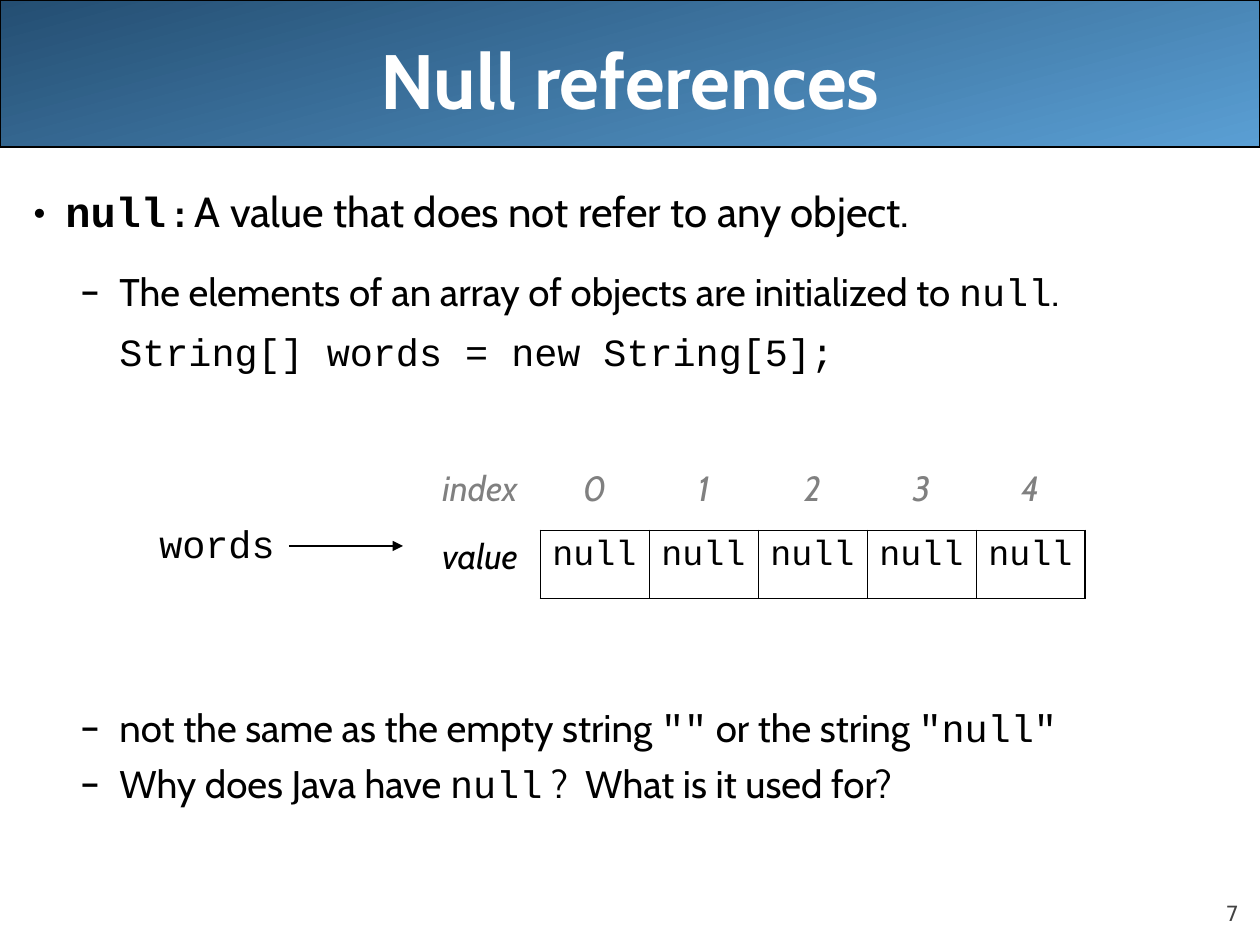
from lxml.etree import SubElement
from pptx import Presentation
from pptx.dml.color import RGBColor
from pptx.enum.shapes import MSO_CONNECTOR, MSO_SHAPE
from pptx.enum.text import MSO_ANCHOR, PP_ALIGN
from pptx.oxml.ns import qn
from pptx.util import Pt

px = 7257
color = RGBColor.from_string


def write(para, text, size=22, font="Cabin", fill="000000", bold=False, italic=False):
    span = para.add_run()
    span.text = text
    span.font.size = Pt(size)
    span.font.name = font
    span.font.bold = bold
    span.font.italic = italic
    span.font.color.rgb = color(fill)


deck = Presentation()
deck.slide_width = 1260 * px
deck.slide_height = 945 * px
page = deck.slides.add_slide(deck.slide_layouts[6])

banner = page.shapes.add_shape(MSO_SHAPE.ROUNDED_RECTANGLE, 0, 0, 1260 * px, 147 * px)
banner.adjustments[0] = 0
banner.shadow.inherit = False
banner.fill.gradient()
banner.fill.gradient_angle = 285
for stop, shade, position in zip(banner.fill.gradient_stops, ("244E72", "5A9FD4"), (0, 1)):
    stop.color.rgb = color(shade)
    stop.position = position
banner.line.color.rgb = color("000000")
banner.line.width = Pt(0.75)

number = page.shapes.add_textbox(1134 * px, 876 * px, 105 * px, 50 * px).text_frame
number.word_wrap = True
number.vertical_anchor = MSO_ANCHOR.BOTTOM
number.margin_left = number.margin_right = number.margin_top = number.margin_bottom = 0
number.paragraphs[0].alignment = PP_ALIGN.RIGHT
write(number.paragraphs[0], "7", size=12, font="DejaVu Sans", fill="424242")

title = page.shapes.add_textbox(63 * px, 0, 1134 * px, 157 * px).text_frame
title.word_wrap = True
title.vertical_anchor = MSO_ANCHOR.MIDDLE
title.paragraphs[0].alignment = PP_ALIGN.CENTER
write(title.paragraphs[0], "Null references", size=44, fill="FFFFFF", bold=True)

code = {"font": "Courier New"}
lines = [
    ("•", 32, 32, 0, [
        ("null", {"size": 24, "bold": True, **code}),
        (" : ", {"size": 24, "bold": True}),
        ("A value that does not refer to any object.", {"size": 24}),
    ]),
    ("–", 86, 39, 18.6, [
        ("The elements of an array of objects are initialized to ", {}),
        ("null", code),
        (".", {}),
    ]),
    ("", 86, 0, 7.7, [("String[] words = new String[5];", code)]),
    ("–", 86, 39, 188.5, [
        ("not the same as the empty string ", {}),
        ('""', code),
        (" or the string ", {}),
        ('"null"', code),
    ]),
    ("–", 86, 39, 5.5, [
        ("Why does Java have ", {}),
        ("null", code),
        (" ?  What is it used for?", {}),
    ]),
]
body = page.shapes.add_textbox(21 * px, 179 * px, 1239 * px, 714 * px).text_frame
body.word_wrap = True
for index, (bullet, margin, hanging, gap, spans) in enumerate(lines):
    para = body.add_paragraph() if index else body.paragraphs[0]
    properties = para._p.get_or_add_pPr()
    properties.set("marL", str(margin * px))
    properties.set("indent", str(-hanging * px))
    if bullet:
        tint = SubElement(properties, qn("a:buClr"))
        SubElement(tint, qn("a:srgbClr"), val="000000")
        SubElement(properties, qn("a:buFont"), typeface="Cabin")
        SubElement(properties, qn("a:buChar"), char=bullet)
    para.level = 1 if index else 0
    para.space_before = Pt(gap)
    for text, style in spans:
        write(para, text, **style)

array = page.shapes.add_table(2, 6, 420 * px, 462 * px, 665 * px, 136 * px).table
array.first_row = False
array.horz_banding = False
for index, column in enumerate(array.columns):
    column.width = (109 if index else 120) * px
rows = [["index", *"01234"], ["value"] + ["null"] * 5]
for row, values in enumerate(rows):
    array.rows[row].height = 68 * px
    for column, value in enumerate(values):
        cell = array.cell(row, column)
        cell.margin_left = cell.margin_right = 12 * px
        cell.margin_top = cell.margin_bottom = 6 * px
        para = cell.text_frame.paragraphs[0]
        para.alignment = PP_ALIGN.CENTER
        write(para, value, size=20, font="Courier New" if value == "null" else "Cabin",
              fill="000000" if row else "808080", italic=value != "null")
        boxed = value == "null"
        ruled = {"L": boxed, "R": row == 1, "T": boxed, "B": column > 0}
        for side, shown in ruled.items():
            width = 1.08 if side == "R" and column == 5 else 0.45
            edge = SubElement(cell._tc.get_or_add_tcPr(), qn("a:ln" + side), w=str(Pt(width)))
            if shown:
                SubElement(SubElement(edge, qn("a:solidFill")), qn("a:srgbClr"), val="000000")
            else:
                SubElement(edge, qn("a:noFill"))
        cell.fill.background()

label = page.shapes.add_textbox(127 * px, 514 * px, 160 * px, 59 * px).text_frame
label.word_wrap = True
label.paragraphs[0].alignment = PP_ALIGN.RIGHT
write(label.paragraphs[0], "words", **code)

arrow = page.shapes.add_connector(MSO_CONNECTOR.STRAIGHT, 289 * px, 546 * px, 403 * px, 546 * px)
arrow.line.color.rgb = color("000000")
arrow.line.width = Pt(1.5)
outline = arrow._element.spPr.find(qn("a:ln"))
SubElement(outline, qn("a:tailEnd"), type="triangle")
SubElement(arrow._element.spPr, qn("a:effectLst"))

deck.save("out.pptx")
